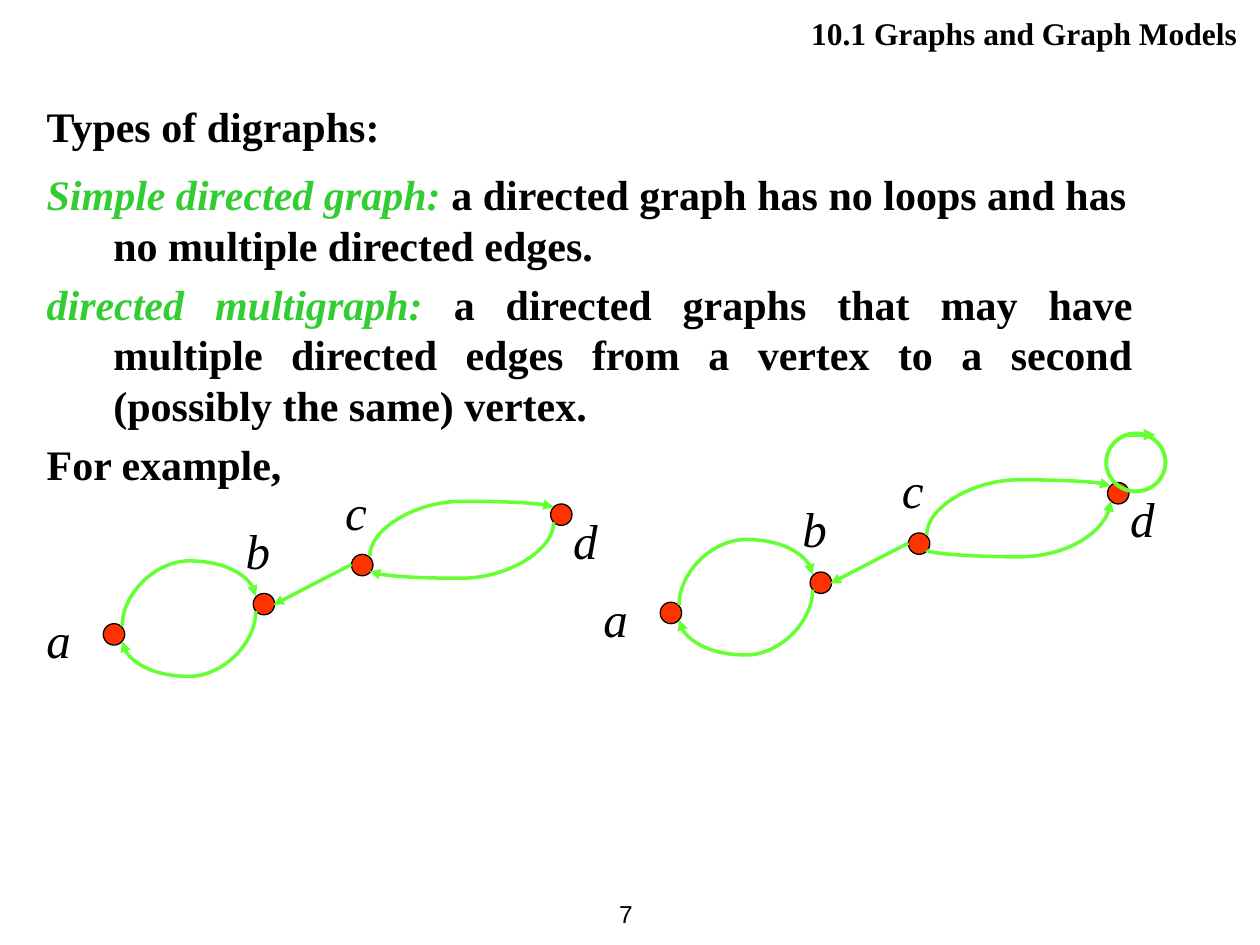
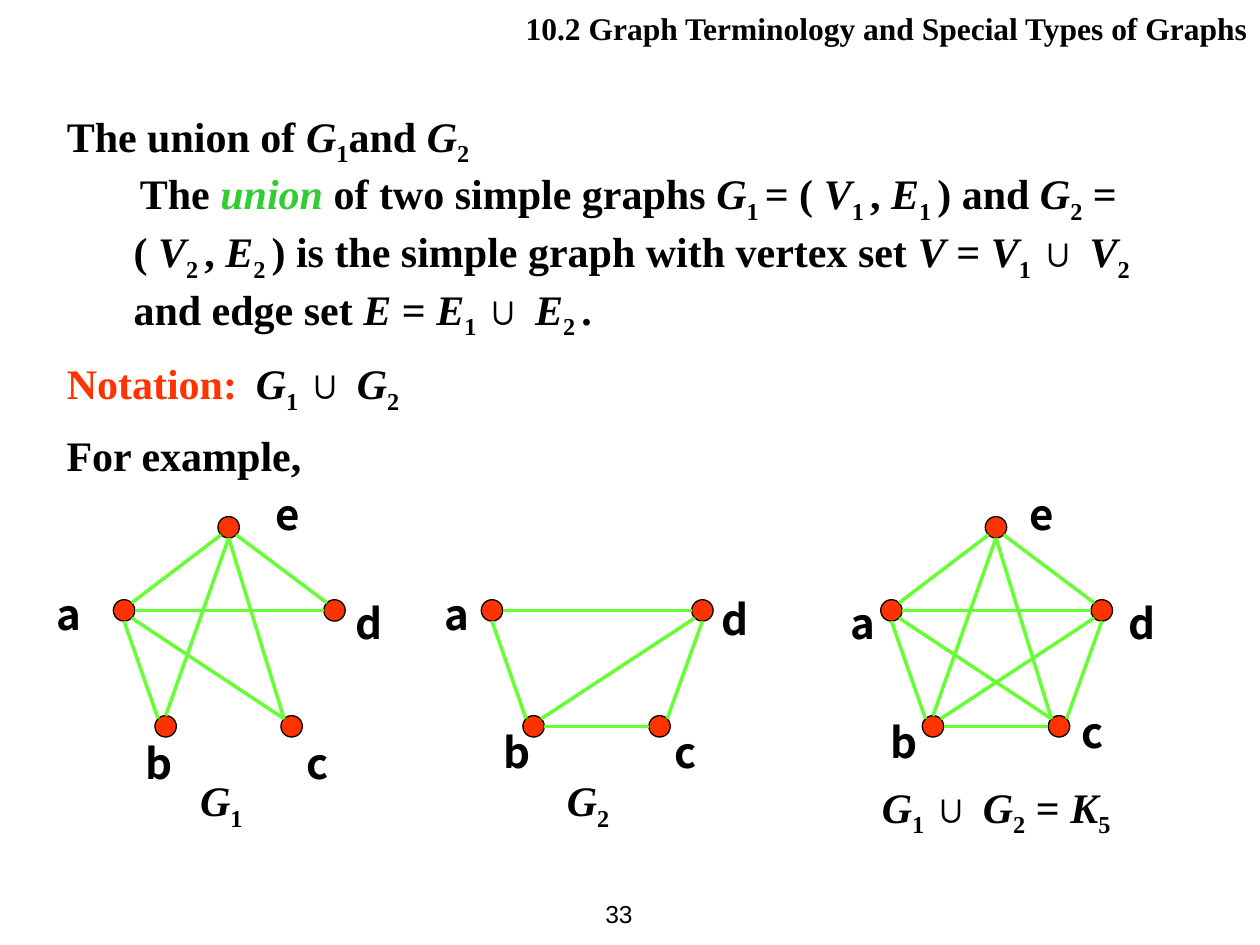
from dataclasses import dataclass
from math import cos, radians, sin
from typing import NamedTuple, Optional

from lxml.etree import SubElement
from pptx import Presentation
from pptx.dml.color import RGBColor
from pptx.enum.shapes import MSO_CONNECTOR as CXN, MSO_SHAPE as SHAPE
from pptx.enum.text import MSO_ANCHOR, MSO_AUTO_SIZE, PP_ALIGN as ALIGN
from pptx.oxml.ns import qn
from pptx.util import Inches, Pt

# The slide is a grid of 100 columns by 75 rows; every length counts grid cells.
COLS, ROWS = 100, 75
CELL = Inches(10) / COLS

BLACK, GREEN, RED, EDGE = "000000", "33CC33", "FF3300", "66FF33"
SERIF, LABEL_FONT = "Times New Roman", "Noto Sans CJK SC"
NODE = 1.7
HANG = 5.3


class Run(NamedTuple):
    text: str
    italic: bool = False
    sub: bool = False
    color: str = BLACK


class Box(NamedTuple):
    x: float
    y: float
    w: float
    h: float


class Style(NamedTuple):
    size: int
    font: str = SERIF
    bold: bool = True


@dataclass
class Para:
    runs: list
    before: float = 0
    align: ALIGN = ALIGN.LEFT
    margin: float = HANG
    first: float = -HANG
    tab: Optional[float] = None


class Arc(NamedTuple):
    """A curved edge: its unrotated box, turn, flip, bend and arrow ends."""
    box: Box
    turn: int
    flip: bool
    bend: float
    ends: tuple


class Edge(NamedTuple):
    start: str
    start_side: str
    end: str
    end_side: str


TEXT, HEADER = Style(24), Style(18)
VERTEX, LETTER = Style(28, bold=False), Style(24, LABEL_FONT)
NUMBER = Style(14, "Arial", False)


def grid(n: float) -> int:
    return round(n * CELL)


def rgb(color: str) -> RGBColor:
    return RGBColor.from_string(color)


def var(letter: str, index: str) -> list:
    """An italic letter with a subscript."""
    return [Run(letter, italic=True), Run(index, sub=True)]


def write(p, para: Para, style: Style) -> None:
    pPr = p._p.get_or_add_pPr()
    pPr.set("marL", str(grid(para.margin)))
    pPr.set("indent", str(grid(para.first)))
    SubElement(pPr, qn("a:buNone"))
    if para.tab:
        tabs = SubElement(pPr, qn("a:tabLst"))
        SubElement(tabs, qn("a:tab"), pos=str(grid(para.tab)), algn="l")
    p.alignment, p.space_before = para.align, Pt(para.before)
    for run in para.runs:
        r = p.add_run()
        r.text = run.text
        f = r.font
        f.name, f.size, f.bold, f.italic = style.font, Pt(style.size), style.bold, run.italic
        f.color.rgb = rgb(run.color)
        if run.sub:
            r._r.get_or_add_rPr().set("baseline", "-25000")


def fill_text(sp, box: Box, paras: list, style: Style, pitch: Optional[float] = None,
              anchor=MSO_ANCHOR.TOP) -> None:
    sp.left, sp.top, sp.width, sp.height = map(grid, box)
    tf = sp.text_frame
    tf.word_wrap, tf.auto_size, tf.vertical_anchor = True, MSO_AUTO_SIZE.NONE, anchor
    for i, para in enumerate(paras):
        p = tf.add_paragraph() if i else tf.paragraphs[0]
        write(p, para, style)
        if pitch:
            p.line_spacing = Pt(pitch)


def add_text(s, box: Box, runs: list, style: Style, align=ALIGN.LEFT,
             anchor=MSO_ANCHOR.TOP) -> None:
    sp = s.shapes.add_textbox(0, 0, 0, 0)
    fill_text(sp, box, [Para(runs, align=align, margin=0, first=0)], style, anchor=anchor)


def new_slide(prs, header: str, header_box: Box, body_box: Box, body: list,
              pitch: float, number: str):
    s = prs.slides.add_slide(prs.slide_layouts[1])
    title = Para([Run(header)], align=ALIGN.RIGHT, margin=0, first=0)
    fill_text(s.shapes.title, header_box, [title], HEADER)
    fill_text(s.placeholders[1], body_box, body, TEXT, pitch)
    add_text(s, Box(44.5, ROWS - 5, 6.7, 5), [Run(number)], NUMBER, ALIGN.RIGHT,
             MSO_ANCHOR.MIDDLE)
    return s


def add_node(s, x: float, y: float) -> None:
    sp = s.shapes.add_shape(SHAPE.FLOWCHART_CONNECTOR, *map(grid, (x, y, NODE, NODE)))
    sp.shadow.inherit = False
    sp.fill.solid()
    sp.fill.fore_color.rgb = rgb(RED)
    sp.line.color.rgb, sp.line.width = rgb(BLACK), Pt(0.75)


def add_edge(s, start: tuple, end: tuple, ends: tuple = (), kind=CXN.STRAIGHT,
             width: float = 2):
    c = s.shapes.add_connector(kind, *map(grid, (*start, *end)))
    c.line.color.rgb, c.line.width = rgb(EDGE), Pt(width)
    ln = c.line._get_or_add_ln()
    for end_name in ends:
        SubElement(ln, qn(f"a:{end_name}"), type="triangle")
    SubElement(c.element.spPr, qn("a:effectLst"))
    return c


def add_arc(s, arc: Arc, dx: float, dy: float) -> None:
    x, y, w, h = arc.box
    c = add_edge(s, (x + dx, y + dy), (x + dx + w, y + dy + h), arc.ends, CXN.CURVE)
    spPr = c.element.spPr
    xfrm = spPr.find(qn("a:xfrm"))
    xfrm.set("rot", str(arc.turn * 60000))
    if arc.flip:
        xfrm.set("flipH", "1")
        xfrm.set("flipV", "1")
    guides = spPr.find(qn("a:prstGeom")).find(qn("a:avLst"))
    SubElement(guides, qn("a:gd"), name="adj1", fmla=f"val {round(arc.bend * 100000)}")


# Directed graphs
DIGRAPH_NODES = [(8.2, 49.5), (20.1, 47.1), (27.9, 44), (43.7, 40)]
DIGRAPH_LABELS = {"a": (2.7, 47.9), "b": (18.5, 40.8), "c": (26.4, 37.7), "d": (44.5, 40)}
TAIL, HEAD = ("tailEnd",), ("headEnd",)


def add_digraph(s, dx: float, dy: float, return_ends: tuple) -> None:
    for x, y in DIGRAPH_NODES:
        add_node(s, x + dx, y + dy)
    for arc in (Arc(Box(13.8, 43.2, 2.4, 10.6), 270, False, 2.16, TAIL),
                Arc(Box(13.8, 44.4, 2.4, 10.6), 90, False, 2.16, TAIL),
                Arc(Box(34.7, 34.9, 3.9, 14.6), 270, False, 1.12, TAIL),
                Arc(Box(34.7, 36.1, 3.9, 14.6), 90, True, -0.14, return_ends)):
        add_arc(s, arc, dx, dy)
    add_edge(s, (27.9 + dx, 44.8 + dy), (21.7 + dx, 48 + dy), TAIL)
    for letter, (x, y) in DIGRAPH_LABELS.items():
        add_text(s, Box(x + dx, y + dy, 4.2, 5.7), [Run(letter, italic=True)], VERTEX)


def digraph_slide(prs) -> None:
    body = [
        Para([Run("Types of digraphs:")]),
        Para([Run("Simple directed graph:", True, color=GREEN),
              Run(" a directed graph has no loops and has no multiple directed edges.")], 10),
        Para([Run("directed multigraph:", True, color=GREEN),
              Run(" a directed graphs that may have multiple directed edges from a vertex "
                  "to a second (possibly the same) vertex.")], 5, ALIGN.JUSTIFY),
        Para([Run("For example,")], 5, ALIGN.JUSTIFY),
    ]
    s = new_slide(prs, "10.1 Graphs and Graph Models", Box(57.1, 0.6, 42.1, 4),
                  Box(2.7, 7.5, 88.2, 32.2), body, 28.8, "7")
    add_digraph(s, 0, 0, HEAD)
    add_digraph(s, 44.2, -1.7, TAIL)
    loop = s.shapes.add_shape(SHAPE.OVAL, *map(grid, (87.8, 34.4, 4.7, 4.6)))
    loop.shadow.inherit = False
    loop.fill.background()
    loop.line.color.rgb, loop.line.width = rgb(EDGE), Pt(2.25)
    add_edge(s, (89.4, 34.5), (91.7, 34.5), TAIL, width=2.25)


# Simple graphs on the corners of a pentagon, measured from vertex a
PENTAGON = {"a": (0, 0), "b": (3.3, 9.2), "c": (13.3, 9.2), "d": (16.7, 0), "e": (8.3, -6.6)}
SIDES = {side: 45 * i for i, side in enumerate(("e", "se", "s", "sw", "w", "nw", "n", "ne"))}
K5_EDGES = {
    "ab": Edge("a", "s", "b", "nw"), "bc": Edge("b", "e", "c", "w"),
    "cd": Edge("c", "ne", "d", "s"), "de": Edge("d", "nw", "e", "se"),
    "ae": Edge("a", "ne", "e", "sw"), "be": Edge("e", "s", "b", "n"),
    "ce": Edge("e", "s", "c", "nw"), "ad": Edge("a", "e", "d", "w"),
    "ac": Edge("a", "se", "c", "nw"), "bd": Edge("b", "ne", "d", "sw"),
}


@dataclass
class Graph:
    x: float
    edges: list
    labels: dict
    caption: list
    caption_box: Box


def add_graph(s, g: Graph, y: float = 47.6) -> None:
    def rim(vertex: str, side: str) -> tuple:
        (vx, vy), angle, r = PENTAGON[vertex], radians(SIDES[side]), NODE / 2
        return g.x + vx + r * (1 + cos(angle)), y + vy + r * (1 + sin(angle))

    for vertex in g.labels:
        vx, vy = PENTAGON[vertex]
        add_node(s, g.x + vx, y + vy)
    for name in g.edges:
        e = K5_EDGES[name]
        add_edge(s, rim(e.start, e.start_side), rim(e.end, e.end_side))
    for letter, (lx, ly) in g.labels.items():
        add_text(s, Box(lx, ly, 3.9, 5.1), [Run(letter)], LETTER, ALIGN.RIGHT)
    add_text(s, g.caption_box, g.caption, TEXT)


def union_slide(prs) -> None:
    g1, g2 = var("G", "1"), var("G", "2")
    v1, v2, e1, e2 = (var(letter, i + " ") for letter in "VE" for i in "12")
    g1_cup_g2 = [*var("G", "1 "), Run("∪ "), *g2]
    body = [
        Para([Run("The union of "), *g1, Run("and "), *g2]),
        Para([Run("The "), Run("union", True, color=GREEN), Run(" of two simple graphs "),
              *var("G", "1 "), Run("= ( "), *v1, Run(", "), *e1, Run(") and "), *g2,
              Run(" = ( "), *v2, Run(", "), *e2,
              Run(") is the simple graph with vertex set "), Run("V", True), Run(" = "),
              *v1, Run("∪ "), *var("V", "2"), Run(" and edge set "), Run("E", True),
              Run(" = "), *e1, Run("∪ "), *e2, Run(".")], first=0.5),
        Para([Run("Notation:\t", color=RED), *g1_cup_g2], 9.6, margin=0, first=0, tab=17.7),
    ]
    s = new_slide(prs, "10.2 Graph Terminology and Special Types of Graphs",
                  Box(39.8, 0.2, 60.2, 4), Box(4.3, 8.2, 91, 24), body, 33, "33")
    add_text(s, Box(4.3, 33.6, 90.8, 5), [Run("For example,")], TEXT)
    for g in (
        Graph(69.9, list(K5_EDGES),
              {"a": (66.5, 46.9), "b": (69.7, 56.4), "c": (84.7, 55.6),
               "d": (88.6, 46.9), "e": (80.7, 38.3)},
              [*g1_cup_g2, Run(" = "), *var("K", "5")], Box(69, 61.5, 25, 5.7)),
        Graph(38.2, ["ab", "bc", "cd", "ad", "bd"],
              {"a": (34.3, 46.2), "b": (39, 57.2), "c": (52.4, 57.2), "d": (56.3, 46.6)},
              g2, Box(44, 61, 7.1, 5)),
        Graph(9, ["ab", "de", "ae", "be", "ce", "ad", "ac"],
              {"a": (3.5, 46.2), "b": (10.6, 58), "c": (23.2, 58),
               "d": (27.2, 46.9), "e": (20.9, 38.3)},
              g1, Box(14.9, 61, 7.1, 5)),
    ):
        add_graph(s, g)


def main() -> None:
    prs = Presentation()
    prs.slide_width, prs.slide_height = grid(COLS), grid(ROWS)
    digraph_slide(prs)
    union_slide(prs)
    prs.save("out.pptx")


if __name__ == "__main__":
    main()
